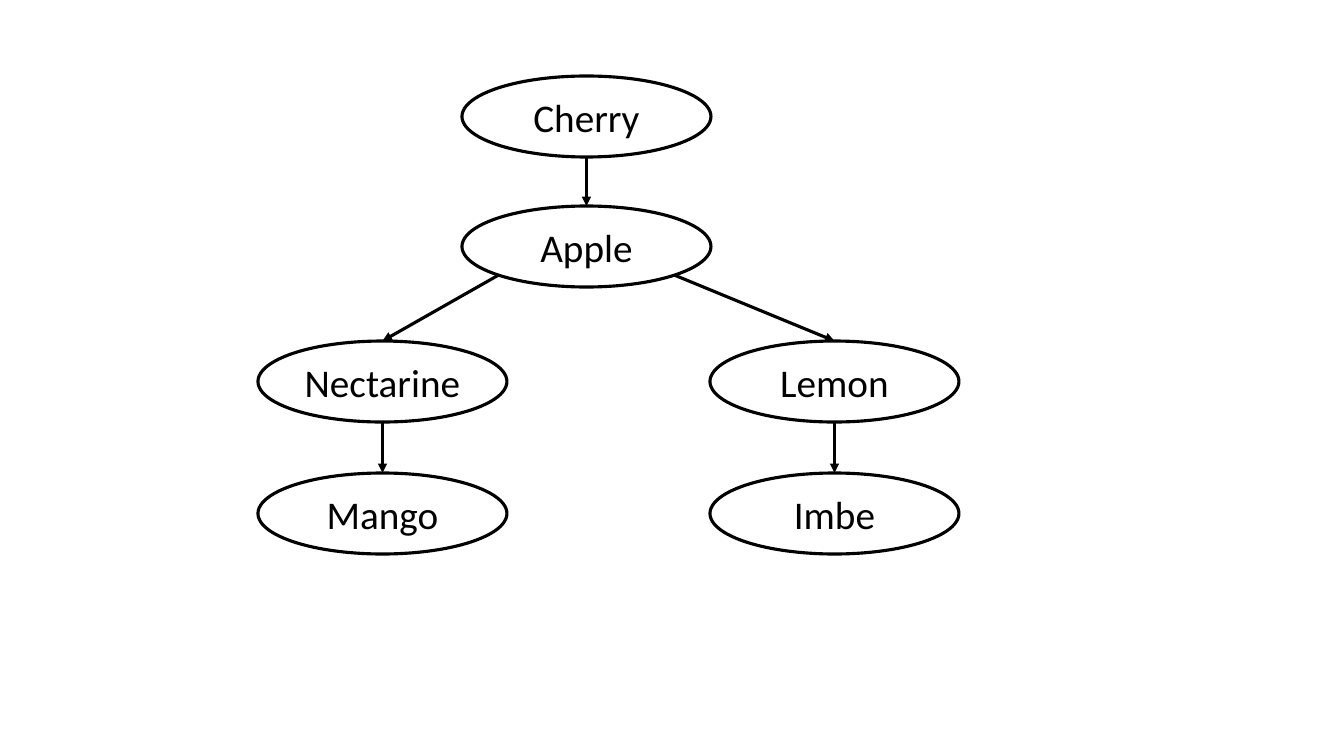
from math import cos, radians, sin

from lxml.etree import SubElement
from pptx import Presentation
from pptx.dml.color import RGBColor
from pptx.enum.shapes import MSO_CONNECTOR, MSO_SHAPE
from pptx.enum.text import MSO_ANCHOR, PP_ALIGN
from pptx.oxml.ns import qn
from pptx.util import Pt

EMU_PER_PX = 914400 / 100.8
BLACK = RGBColor(0x00, 0x00, 0x00)
NODE_WIDTH, NODE_HEIGHT = 249, 81
LINE_WIDTH = Pt(2.25)
TOP_SITE = 0
BOTTOM, BOTTOM_LEFT, BOTTOM_RIGHT = 90, 135, 45

FRUITS = {
    "Cherry": (462, 76),
    "Apple": (462, 206),
    "Nectarine": (258, 341),
    "Lemon": (710, 341),
    "Mango": (258, 473),
    "Imbe": (710, 473),
}
BRANCHES = [
    ("Cherry", "Apple", BOTTOM),
    ("Apple", "Nectarine", BOTTOM_LEFT),
    ("Apple", "Lemon", BOTTOM_RIGHT),
    ("Nectarine", "Mango", BOTTOM),
    ("Lemon", "Imbe", BOTTOM),
]


def px(length):
    return round(length * EMU_PER_PX)


def write_text(frame, text, *, size=28, font="Calibri", color=BLACK,
               align=PP_ALIGN.CENTER, anchor=MSO_ANCHOR.MIDDLE):
    frame.word_wrap = True
    frame.margin_left = frame.margin_right = 0
    frame.vertical_anchor = anchor
    paragraph = frame.paragraphs[0]
    paragraph.alignment = align
    run = paragraph.add_run()
    run.text = text
    run.font.size = Pt(size)
    run.font.name = font
    run.font.color.rgb = color


def style_line(line):
    line.color.rgb = BLACK
    line.width = LINE_WIDTH


def add_node(slide, fruit, left, top):
    node = slide.shapes.add_shape(MSO_SHAPE.OVAL, px(left), px(top),
                                  px(NODE_WIDTH), px(NODE_HEIGHT))
    node.shadow.inherit = False
    node.fill.background()
    style_line(node.line)
    write_text(node.text_frame, fruit)
    return node


def rim_point(node, degrees):
    angle = radians(degrees)
    x = node.left + node.width / 2 * (1 + cos(angle))
    y = node.top + node.height / 2 * (1 + sin(angle))
    return round(x), round(y)


def add_branch(slide, parent, child, degrees):
    start_x, start_y = rim_point(parent, degrees)
    branch = slide.shapes.add_connector(MSO_CONNECTOR.STRAIGHT, start_x, start_y,
                                        child.left + child.width // 2, child.top)
    branch.end_connect(child, TOP_SITE)
    style_line(branch.line)
    SubElement(branch.line._get_or_add_ln(), qn("a:tailEnd"), type="triangle")
    SubElement(branch._element.spPr, qn("a:effectLst"))


def main():
    presentation = Presentation()
    presentation.slide_width = px(1344)
    presentation.slide_height = px(756)
    slide = presentation.slides.add_slide(presentation.slide_layouts[6])
    nodes = {fruit: add_node(slide, fruit, *corner)
             for fruit, corner in FRUITS.items()}
    for parent, child, degrees in BRANCHES:
        add_branch(slide, nodes[parent], nodes[child], degrees)
    presentation.save("out.pptx")


if __name__ == "__main__":
    main()
